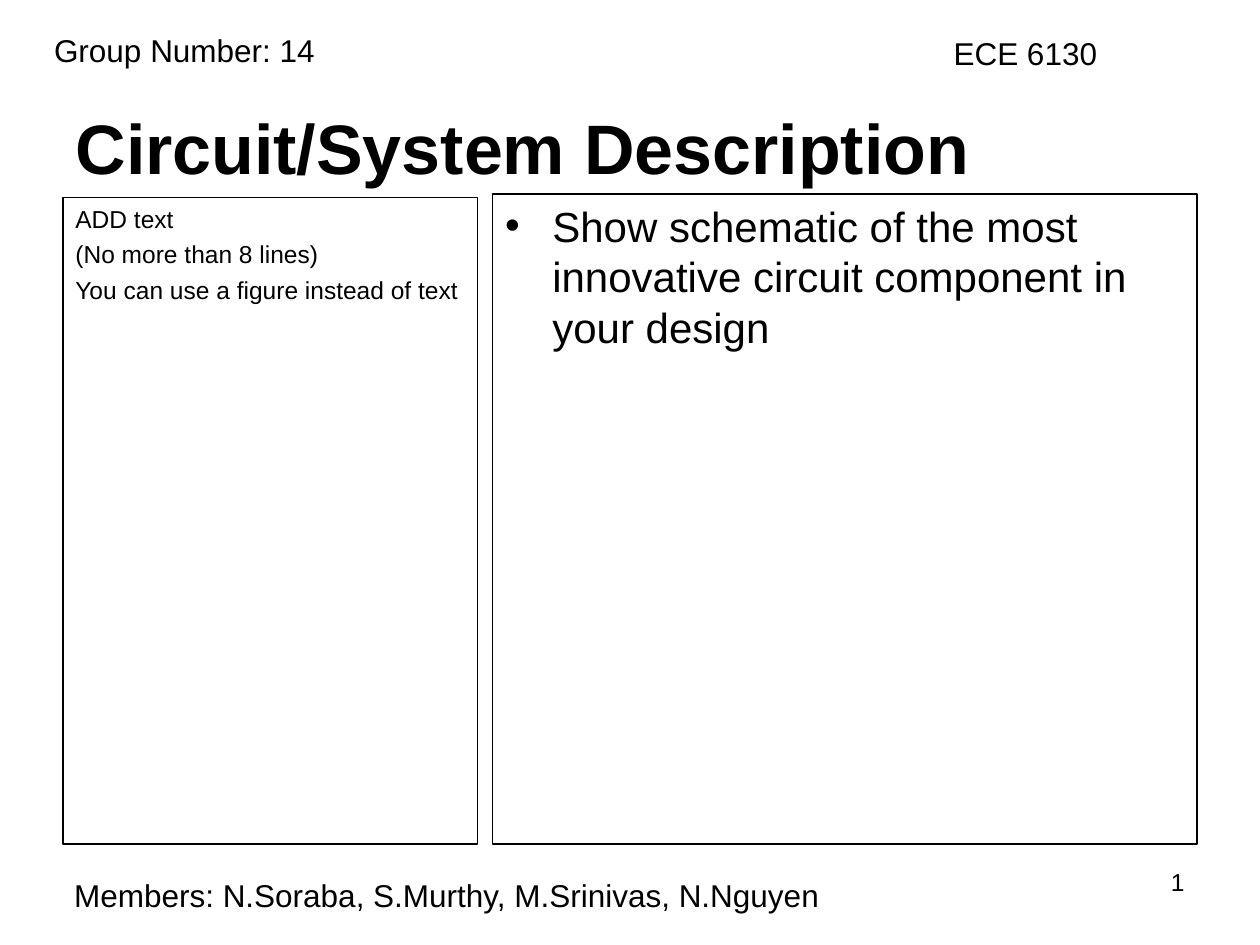
from dataclasses import dataclass

from lxml import etree
from pptx import Presentation
from pptx.dml.color import RGBColor
from pptx.enum.shapes import MSO_SHAPE
from pptx.enum.text import MSO_ANCHOR, MSO_AUTO_SIZE, PP_ALIGN
from pptx.oxml.ns import qn
from pptx.util import Pt

RECTANGLE = MSO_SHAPE.RECTANGLE
TOP, BOTTOM = MSO_ANCHOR.TOP, MSO_ANCHOR.BOTTOM
LEFT, RIGHT = PP_ALIGN.LEFT, PP_ALIGN.RIGHT
NO_AUTOFIT, GROW = MSO_AUTO_SIZE.NONE, MSO_AUTO_SIZE.SHAPE_TO_FIT_TEXT
TITLE_ONLY = 5
FONT = "Arial"
COLOURS = {"ink": "000000"}
BULLET_INDENT = 27


@dataclass(frozen=True)
class Box:
    left: float
    top: float
    width: float
    height: float

    def in_points(self) -> tuple:
        return Pt(self.left), Pt(self.top), Pt(self.width), Pt(self.height)


@dataclass(frozen=True)
class Panel:
    box: Box
    lines: tuple[str, ...]
    size: float
    space_before: float
    bulleted: bool = False


@dataclass(frozen=True)
class Label:
    box: Box
    text: str
    size: float = 18
    alignment: PP_ALIGN = LEFT
    wrap: bool = False


TITLE_BOX = Box(36, 21.6, 648, 90)
PANELS = (
    Panel(Box(281.5, 110.9, 402.5, 371.5),
          ("Show schematic of the most innovative circuit component in your design",),
          24, 6, bulleted=True),
    Panel(Box(36, 113, 237, 369.4),
          ("ADD text", "(No more than 8 lines)", "You can use a figure instead of text"),
          14, 3.5),
)
LABELS = (
    Label(Box(516.2, 491.8, 167.8, 37.4), "1", 14, RIGHT, wrap=True),
    Label(Box(23.8, 14.4, 168.5, 28.8), "Group Number: 14"),
    Label(Box(35.3, 496.8, 446.4, 28.8),
          "Members: N.Soraba, S.Murthy, M.Srinivas, N.Nguyen"),
    Label(Box(537.8, 15.8, 101.5, 28.8), "ECE 6130"),
)


def colour(name: str) -> RGBColor:
    return RGBColor.from_string(COLOURS[name])


def add_run(paragraph, text: str, size: float, bold: bool = False) -> None:
    run = paragraph.add_run()
    run.text = text
    run.font.name = FONT
    run.font.size = Pt(size)
    run.font.bold = bold
    run.font.color.rgb = colour("ink")


def add_bullet(paragraph) -> None:
    properties = paragraph._p.get_or_add_pPr()
    properties.set("marL", str(Pt(BULLET_INDENT)))
    properties.set("indent", str(-Pt(BULLET_INDENT)))
    etree.SubElement(properties, qn("a:buFont")).set("typeface", FONT)
    etree.SubElement(properties, qn("a:buChar")).set("char", "•")


def set_title(slide, text: str) -> None:
    title = slide.shapes.title
    title.left, title.top, title.width, title.height = TITLE_BOX.in_points()
    frame = title.text_frame
    frame.auto_size = NO_AUTOFIT
    frame.vertical_anchor = BOTTOM
    paragraph = frame.paragraphs[0]
    paragraph.alignment = LEFT
    add_run(paragraph, text, 40, bold=True)


def add_panel(slide, panel: Panel) -> None:
    shape = slide.shapes.add_shape(RECTANGLE, *panel.box.in_points())
    shape.shadow.inherit = False
    shape.fill.background()
    shape.line.color.rgb = colour("ink")
    shape.line.width = Pt(0.75)
    frame = shape.text_frame
    frame.word_wrap = True
    frame.vertical_anchor = TOP
    for index, line in enumerate(panel.lines):
        paragraph = frame.add_paragraph() if index else frame.paragraphs[0]
        if panel.bulleted:
            add_bullet(paragraph)
        paragraph.alignment = LEFT
        if index:
            paragraph.space_before = Pt(panel.space_before)
        add_run(paragraph, line, panel.size)


def add_label(slide, label: Label) -> None:
    frame = slide.shapes.add_textbox(*label.box.in_points()).text_frame
    frame.word_wrap = label.wrap
    frame.auto_size = NO_AUTOFIT if label.wrap else GROW
    paragraph = frame.paragraphs[0]
    paragraph.alignment = label.alignment
    add_run(paragraph, label.text, label.size)


def main() -> None:
    presentation = Presentation()
    presentation.slide_width, presentation.slide_height = Pt(720), Pt(540)
    slide = presentation.slides.add_slide(presentation.slide_layouts[TITLE_ONLY])
    set_title(slide, "Circuit/System Description")
    for panel in PANELS:
        add_panel(slide, panel)
    for label in LABELS:
        add_label(slide, label)
    presentation.save("out.pptx")


if __name__ == "__main__":
    main()
